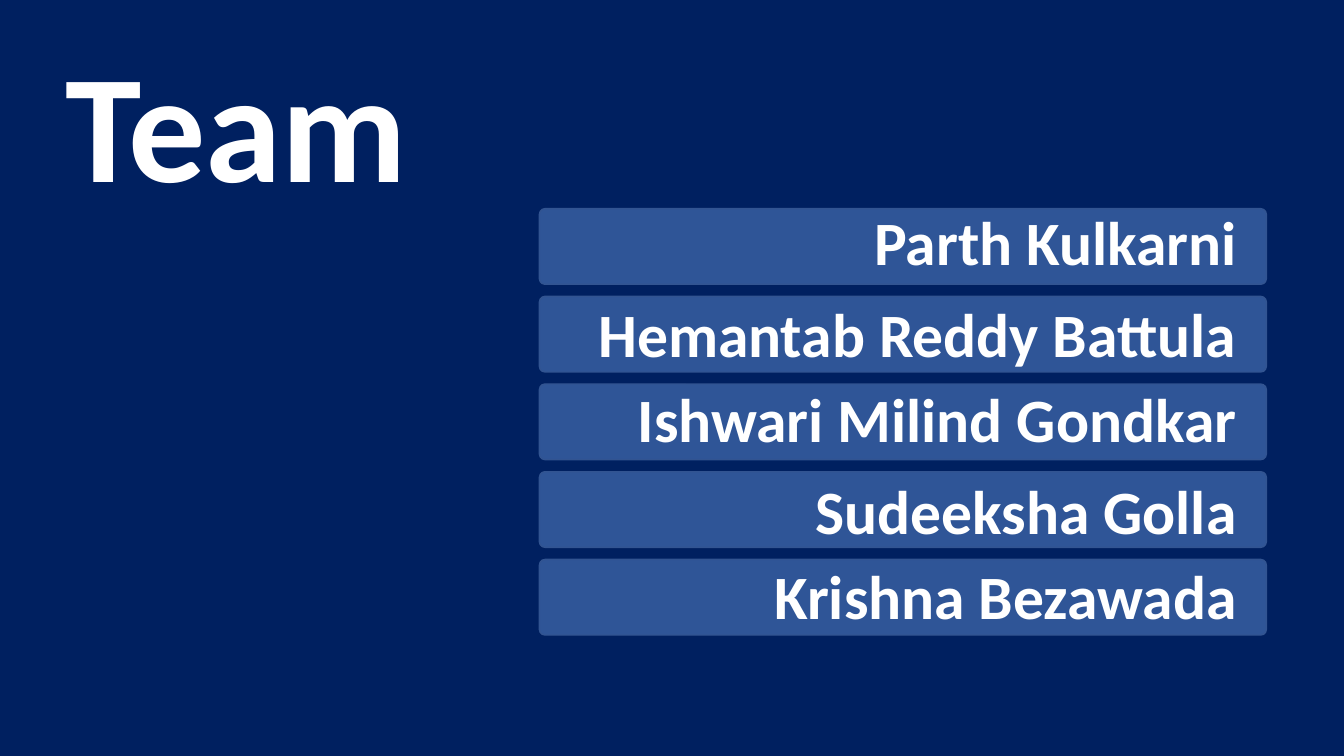
from pptx import Presentation
from pptx.dml.color import RGBColor
from pptx.enum.shapes import MSO_SHAPE
from pptx.enum.text import PP_ALIGN
from pptx.util import Inches, Pt

BAR = MSO_SHAPE.ROUNDED_RECTANGLE
LEFT = PP_ALIGN.LEFT
RIGHT = PP_ALIGN.RIGHT
FONT = "Calibri"
NAVY, BLUE, EDGE, WHITE = "002060", "2F5597", "325491", "FFFFFF"
TOP, STEP = 2.07, 0.87
TEAM = [
    ("Parth Kulkarni", 2.12),
    ("Hemantab Reddy Battula", 3.03),
    ("Ishwari Milind Gondkar", 3.87),
    ("Sudeeksha Golla", 4.78),
    ("Krishna Bezawada", 5.63),
]


def paint(color, code):
    color.rgb = RGBColor.from_string(code)


def add_bar(slide, x, y, w, h):
    bar = slide.shapes.add_shape(BAR, Inches(x), Inches(y), Inches(w), Inches(h))
    bar.adjustments[0] = 0.074
    bar.shadow.inherit = False
    bar.fill.solid()
    paint(bar.fill.fore_color, BLUE)
    paint(bar.line.color, EDGE)
    bar.line.width = Pt(1)


def add_text(slide, text, x, y, w, h, size, align=LEFT):
    box = slide.shapes.add_textbox(Inches(x), Inches(y), Inches(w), Inches(h))
    box.text_frame.word_wrap = True
    para = box.text_frame.paragraphs[0]
    para.alignment = align
    run = para.add_run()
    run.text = text
    run.font.name = FONT
    run.font.size = Pt(size)
    run.font.bold = True
    paint(run.font.color, WHITE)
    return para


def add_name(slide, name, y):
    para = add_text(slide, name, 5.55, y, 6.82, 0.72, 44, RIGHT)
    para.line_spacing = 0.8
    para.space_before = Pt(10)


def main():
    deck = Presentation()
    deck.slide_width, deck.slide_height = Inches(13.33), Inches(7.5)
    slide = deck.slides.add_slide(deck.slide_layouts[6])
    fill = slide.background.fill
    fill.solid()
    paint(fill.fore_color, NAVY)
    add_text(slide, "Team", 0.55, 0.23, 4.61, 1.95, 110)
    for row in range(len(TEAM)):
        add_bar(slide, 5.35, TOP + row * STEP, 7.21, 0.75)
    for name, y in TEAM:
        add_name(slide, name, y)
    deck.save("out.pptx")


main()
